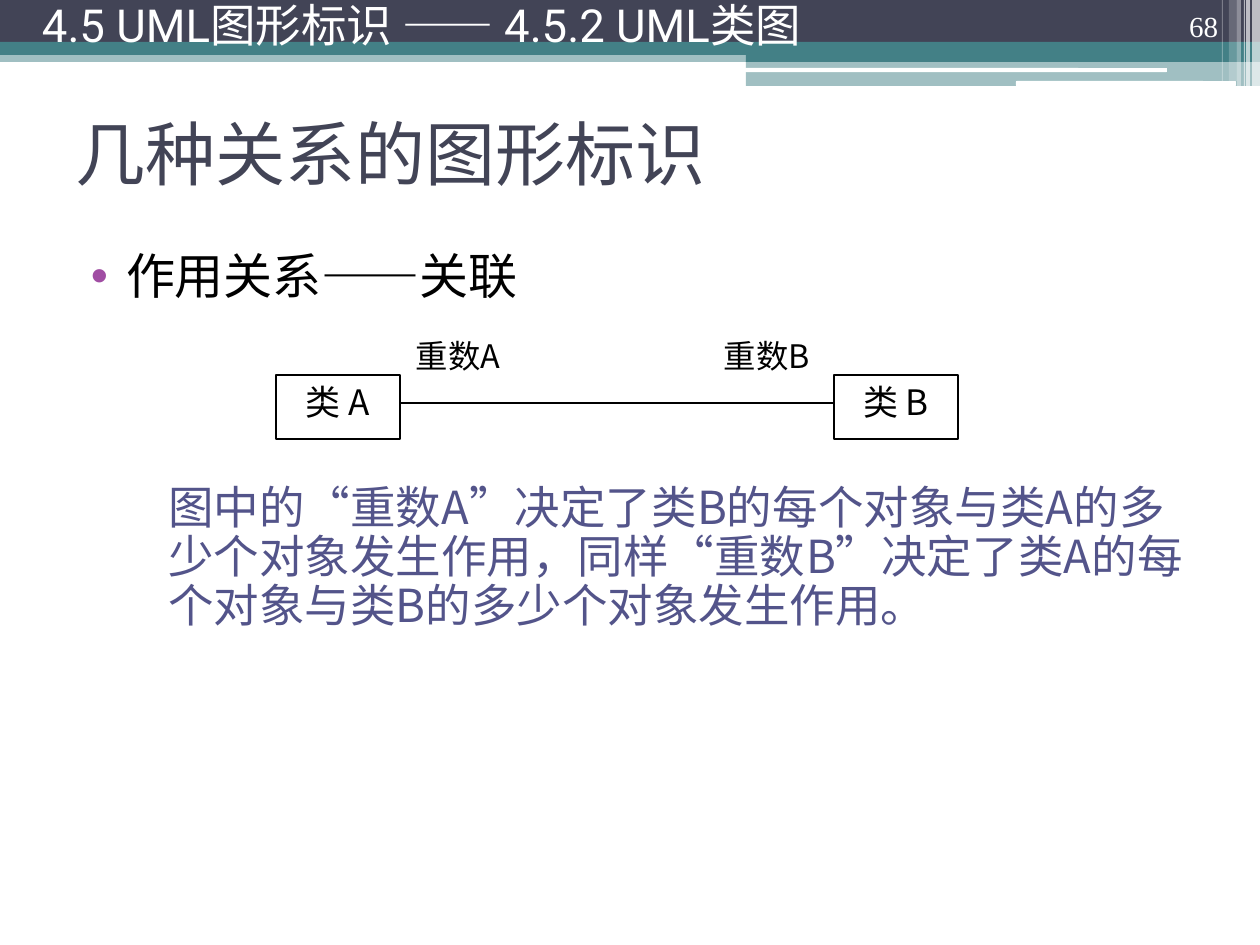
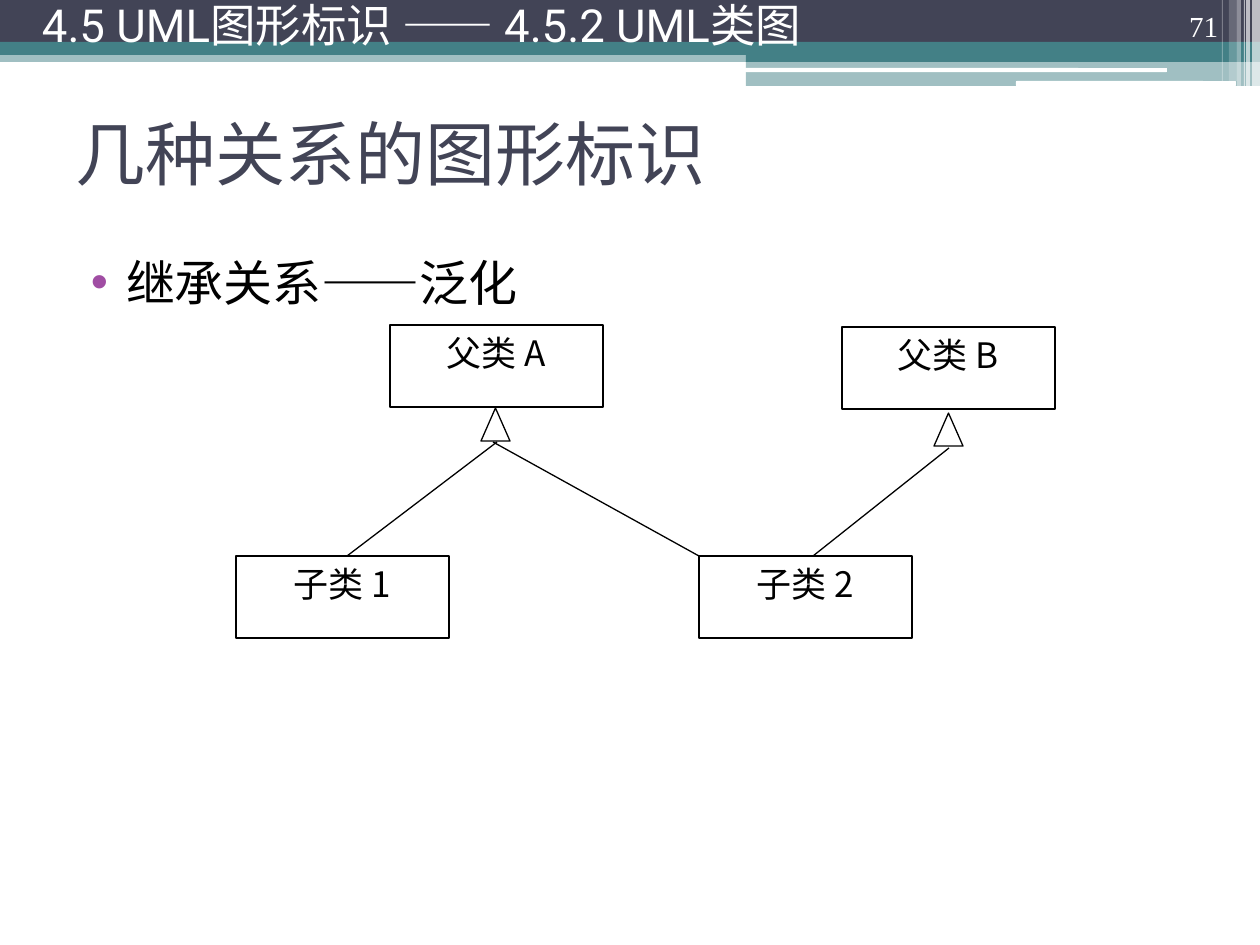
from typing import NamedTuple, Optional

from lxml.etree import SubElement
from pptx import Presentation
from pptx.dml.color import RGBColor
from pptx.enum.shapes import MSO_CONNECTOR, MSO_SHAPE
from pptx.enum.text import MSO_ANCHOR as Anchor, PP_ALIGN as Align
from pptx.oxml.ns import qn
from pptx.util import Emu, Pt

PX = 914400 / 126  # EMU in one px
SLIDE_WIDTH, SLIDE_HEIGHT = 1260, 945

NAVY = RGBColor(0x42, 0x44, 0x56)
TEAL = RGBColor(0x43, 0x80, 0x86)
WHITE = RGBColor(0xFF, 0xFF, 0xFF)
BLACK = RGBColor(0x00, 0x00, 0x00)
INDIGO = RGBColor(0x53, 0x54, 0x8A)
BULLET_COLOR = RGBColor(0xA0, 0x4D, 0xA3)

CJK, ROBOTO, SERIF, CAMBRIA = "Noto Sans CJK SC", "Roboto", "Times New Roman", "Cambria"
BULLET_FONT = "Arial"
SECTION = "4.5 UML图形标识 —— 4.5.2 UML类图"
TITLE = "几种关系的图形标识"


class Rect(NamedTuple):
    left: int
    top: int
    width: int
    height: int


class Band(NamedTuple):
    rect: Rect
    color: RGBColor
    opacity: int = 100
    preset: MSO_SHAPE = MSO_SHAPE.RECTANGLE


class Style(NamedTuple):
    size: float
    font: str
    color: RGBColor
    align: Align = Align.LEFT
    anchor: Anchor = Anchor.TOP
    spacing: Optional[float] = None


class Label(NamedTuple):
    text: str
    left: int
    top: int


class Segment(NamedTuple):
    x1: int
    y1: int
    x2: int
    y2: int


TITLE_STYLE = Style(40, ROBOTO, NAVY, anchor=Anchor.MIDDLE)
SECTION_STYLE = Style(26, ROBOTO, WHITE, anchor=Anchor.MIDDLE, spacing=0.8)
NUMBER_STYLE = Style(16.6, SERIF, WHITE, Align.RIGHT, Anchor.BOTTOM, 0.9)
CLASS_STYLE = Style(20, CJK, BLACK, Align.CENTER)
MULTIPLICITY_STYLE = Style(18.5, CJK, BLACK, Align.JUSTIFY, spacing=0.9)
TOPIC_STYLE = Style(28, CJK, BLACK, spacing=0.9)
DETAIL_STYLE = Style(26, CJK, INDIGO)

TITLE_RECT = Rect(63, 79, 1134, 147)
BODY_RECT = Rect(63, 246, 1142, 660)
NUMBER_RECT = Rect(1126, 0, 105, 50)
SECTION_RECT = Rect(29, 0, 896, 59)

BANDS = [
    Band(Rect(0, 50, SLIDE_WIDTH, 12), TEAL, 50),
    Band(Rect(0, 0, SLIDE_WIDTH, 42), NAVY),
    Band(Rect(0, 42, SLIDE_WIDTH, 13), TEAL),
    Band(Rect(746, 49, 514, 13), TEAL),
    Band(Rect(746, 61, 514, 25), TEAL, 50),
    Band(Rect(745, 68, 422, 4), WHITE, preset=MSO_SHAPE.ROUNDED_RECTANGLE),
    Band(Rect(1016, 81, 220, 5), WHITE, preset=MSO_SHAPE.ROUNDED_RECTANGLE),
] + [
    Band(Rect(left, 0, width, height), WHITE, opacity)
    for left, width, height, opacity in [
        (1252, 8, 86, 65), (1246, 4, 86, 65), (1244, 1, 86, 60),
        (1237, 4, 86, 40), (1229, 8, 81, 20), (1222, 1, 81, 30)]
]


def px(length: float) -> Emu:
    return Emu(round(length * PX))


def emu(values) -> list:
    return [px(value) for value in values]


def format_span(span, style: Style, font: str) -> None:
    """Style a run, with the CJK face for its East Asian text."""
    span.font.size = Pt(style.size)
    span.font.color.rgb = style.color
    span.font.name = font
    SubElement(span._r.get_or_add_rPr(), qn("a:ea"), typeface=CJK)


def format_para(para, style: Style) -> None:
    para.alignment = style.align
    if style.spacing:
        para.line_spacing = style.spacing
    for span in para.runs:
        format_span(span, style, style.font)


def set_frame(frame, style: Style) -> None:
    frame.word_wrap = True
    frame.vertical_anchor = style.anchor
    frame.margin_left = frame.margin_right = px(13)
    frame.margin_top = frame.margin_bottom = px(6)


def write(frame, text: str, style: Style) -> None:
    set_frame(frame, style)
    frame.text = text
    format_para(frame.paragraphs[0], style)


def add_text(page, rect: Rect, text: str, style: Style) -> None:
    write(page.shapes.add_textbox(*emu(rect)).text_frame, text, style)


def add_band(page, band: Band) -> None:
    shape = page.shapes.add_shape(band.preset, *emu(band.rect))
    shape.shadow.inherit = False
    shape.line.fill.background()
    shape.fill.solid()
    shape.fill.fore_color.rgb = band.color
    if band.opacity < 100:
        color = shape.fill._xPr.find(f".//{qn('a:srgbClr')}")
        SubElement(color, qn("a:alpha"), val=str(band.opacity * 1000))


def add_outline(page, preset: MSO_SHAPE, rect: Rect):
    """Add an unfilled shape with a thin black line."""
    shape = page.shapes.add_shape(preset, *emu(rect))
    shape.shadow.inherit = False
    shape.fill.background()
    shape.line.color.rgb = BLACK
    shape.line.width = Pt(0.75)
    return shape


def add_class(page, label: Label, width: int, height: int) -> None:
    box = add_outline(page, MSO_SHAPE.RECTANGLE, Rect(label.left, label.top, width, height))
    write(box.text_frame, label.text, CLASS_STYLE)


def add_line(page, segment: Segment) -> None:
    line = page.shapes.add_connector(MSO_CONNECTOR.STRAIGHT, *emu(segment))
    line.line.color.rgb = BLACK
    line.line.width = Pt(0.75)
    SubElement(line._element.spPr, qn("a:effectLst"))


def add_bullet(para) -> None:
    props = para._p.get_or_add_pPr()
    props.set("marL", str(px(50)))
    props.set("indent", str(px(-35)))
    SubElement(SubElement(props, qn("a:buClr")), qn("a:srgbClr"), val=str(BULLET_COLOR))
    SubElement(props, qn("a:buFont"), typeface=BULLET_FONT)
    SubElement(props, qn("a:buChar"), char="•")


def add_body(page, topic: list, style: Style, detail: str = "") -> None:
    """Add the bulleted topic, given as (text, font) pairs, and the detail below it."""
    frame = page.shapes.add_textbox(*emu(BODY_RECT)).text_frame
    set_frame(frame, style)
    para = frame.paragraphs[0]
    add_bullet(para)
    format_para(para, style)
    for text, font in topic:
        span = para.add_run()
        span.text = text
        format_span(span, style, font)
    if detail:
        para = frame.add_paragraph()
        para.text = detail
        para._p.get_or_add_pPr().set("marL", str(px(92)))
        format_para(para, DETAIL_STYLE)
        para.line_spacing = Pt(28)
        para.space_before = Pt(102.5)


def add_page(deck, number: int):
    """Add a page with the shared bands, title, section and page number."""
    page = deck.slides.add_slide(deck.slide_layouts[6])
    for band in BANDS:
        add_band(page, band)
    add_text(page, TITLE_RECT, TITLE, TITLE_STYLE)
    add_text(page, NUMBER_RECT, str(number), NUMBER_STYLE)
    add_text(page, SECTION_RECT, SECTION, SECTION_STYLE)
    return page


def build_association(deck) -> None:
    page = add_page(deck, 68)
    add_body(page, [("作用关系——关联", CJK)], TOPIC_STYLE,
             "图中的“重数A”决定了类B的每个对象与类A的多少个对象发生作用，"
             "同样“重数B”决定了类A的每个对象与类B的多少个对象发生作用。")
    for label in [Label("类 A", 276, 375), Label("类 B", 834, 375)]:
        add_class(page, label, 124, 64)
    add_line(page, Segment(400, 403, 834, 403))
    for label in [Label("重数A", 403, 335), Label("重数B", 711, 335)]:
        add_text(page, Rect(label.left, label.top, 124, 68), label.text, MULTIPLICITY_STYLE)


def build_generalization(deck) -> None:
    page = add_page(deck, 71)
    add_body(page, [("继承关系", CAMBRIA), ("——", CJK), ("泛化", CAMBRIA)],
             TOPIC_STYLE._replace(spacing=1.0))
    for label in [Label("父类 A", 390, 325), Label("父类 B", 842, 327),
                  Label("子类 1", 236, 556), Label("子类 2", 699, 556)]:
        add_class(page, label, 213, 82)
    for left, top in [(481, 408), (934, 413)]:
        add_outline(page, MSO_SHAPE.ISOSCELES_TRIANGLE, Rect(left, top, 29, 33))
    for segment in [Segment(493, 442, 699, 556), Segment(497, 442, 347, 556),
                    Segment(949, 448, 813, 556)]:
        add_line(page, segment)


def main() -> None:
    deck = Presentation()
    deck.slide_width, deck.slide_height = emu((SLIDE_WIDTH, SLIDE_HEIGHT))
    build_association(deck)
    build_generalization(deck)
    deck.save("out.pptx")


if __name__ == "__main__":
    main()
